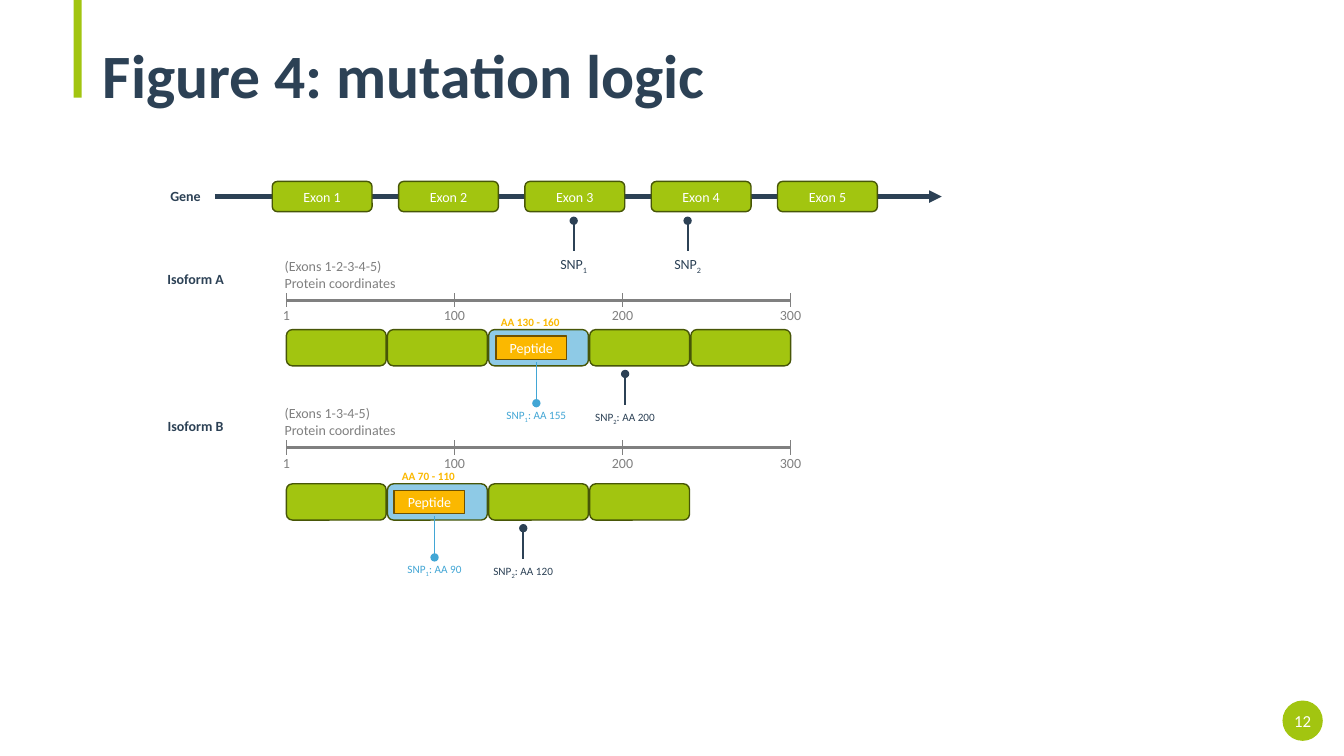
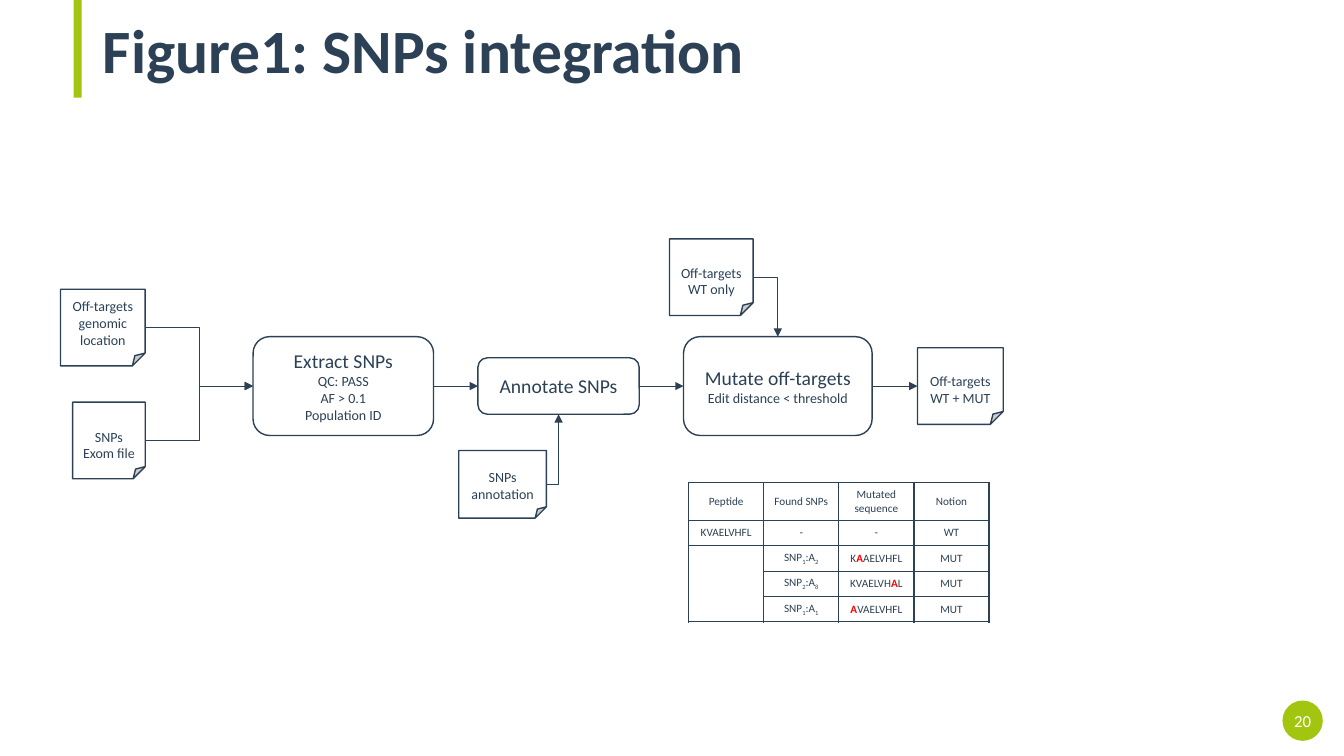
from lxml import etree
from pptx import Presentation
from pptx.dml.color import RGBColor
from pptx.enum.shapes import MSO_CONNECTOR, MSO_SHAPE
from pptx.enum.text import MSO_ANCHOR, MSO_AUTO_SIZE, PP_ALIGN
from pptx.oxml.ns import qn
from pptx.util import Inches, Pt

ROUND, FOLD = MSO_SHAPE.ROUNDED_RECTANGLE, MSO_SHAPE.FOLDED_CORNER
RECT, OVAL = MSO_SHAPE.RECTANGLE, MSO_SHAPE.OVAL
LINE, ELBOW = MSO_CONNECTOR.STRAIGHT, MSO_CONNECTOR.ELBOW
MID, TOP, LOW = MSO_ANCHOR.MIDDLE, MSO_ANCHOR.TOP, MSO_ANCHOR.BOTTOM
LEFT, MIDST = PP_ALIGN.LEFT, PP_ALIGN.CENTER
FIXED = MSO_AUTO_SIZE.NONE

# Colours and font shared by the slides
FONT = "Calibri"
NAVY, WHITE, GREY, RED = "2C4155", "FFFFFF", "808080", "FF0000"
GREEN, MOSS = "A2C510", "475607"
SKY, BLUE = "8ECAE6", "42A6D5"
GOLD, UMBER = "FBB800", "6E5100"

# Connection sites of a box
NORTH, WEST, SOUTH, EAST = range(4)

# Gene and protein scales, in grid steps
GENE_X, GENE_STEP = 27, 12.53
AXIS_X, AXIS_W, EXON_STEP, EXON_W = 28.4, 50, 10.03, 9.9


def grid(*steps):
    """Turn grid columns or rows, a tenth of an inch each, into lengths."""
    return [Inches(n / 10) for n in steps]


def color(code):
    return RGBColor.from_string(code)


def style(item, **form):
    for name, value in form.items():
        setattr(item, name, value)


# Text: lines split at newlines, runs at "|"; "_" lowers a run, "*" marks it red
def write(frame, text, size, ink=NAVY, bold=False, rest=None, align=MIDST):
    for i, line in enumerate(text.split("\n")):
        para = frame.paragraphs[0] if i == 0 else frame.add_paragraph()
        para.alignment = align
        for part in line.split("|"):
            run = para.add_run()
            low, hot = part.startswith("_"), part.startswith("*")
            run.text = part[1:] if low or hot else part
            style(run.font, name=FONT, bold=bold or hot,
                  size=Pt(rest if i and rest else size))
            run.font.color.rgb = color(RED if hot else ink)
            if low:
                run._r.get_or_add_rPr().set("baseline", "-25000")


def label(slide, text, mid, top, wide, tall=2.7, size=10, **form):
    box = slide.shapes.add_textbox(*grid(mid - wide / 2, top, wide, tall))
    box.text_frame.word_wrap = True
    write(box.text_frame, text, size, **form)


def block(slide, kind, place, fill, edge=None, text="", size=10, ink=WHITE,
          rest=None, anchor=MID, inset=1):
    shape = slide.shapes.add_shape(kind, *grid(*place))
    shape.shadow.inherit = False
    shape.fill.solid()
    shape.fill.fore_color.rgb = color(fill)
    if edge:
        shape.line.color.rgb = color(edge)
        shape.line.width = Pt(1)
    else:
        shape.line.fill.background()
    if text:
        side = grid(inset)[0]
        style(shape.text_frame, word_wrap=True, vertical_anchor=anchor,
              margin_left=side, margin_right=side)
        write(shape.text_frame, text, size, ink, rest=rest)
    return shape


def stroke(slide, ends, ink=NAVY, width=0.5, head=None, tail=None, kind=LINE):
    line = slide.shapes.add_connector(kind, *grid(*ends))
    line.line.color.rgb = color(ink)
    line.line.width = Pt(width)
    pen = line.line._get_or_add_ln()
    for tag, tip in (("a:headEnd", head), ("a:tailEnd", tail)):
        if tip:
            etree.SubElement(pen, qn(tag)).set("type", tip)
    etree.SubElement(line.element.spPr, qn("a:effectLst"))
    return line


def link(slide, start, end, site=WEST, kind=LINE):
    """Join the right side of one box to a site of the next."""
    line = stroke(slide, (0, 0, 0, 0), tail="triangle", kind=kind)
    line.begin_connect(start, EAST)
    line.end_connect(end, site)
    if kind == ELBOW and site != WEST:
        line.element.spPr.find(qn("a:prstGeom")).set("prst", "bentConnector2")


# Parts that every slide has
def page(deck, title, top, number):
    slide = deck.slides.add_slide(deck.slide_layouts[5])
    block(slide, OVAL, (127.2, 69.5, 4, 4), GREEN, text=number, size=12, inset=0)
    block(slide, RECT, (7.3, 0, 0.8, 9.7), GREEN)
    head = slide.shapes.title
    names = ("left", "top", "width", "height")
    style(head, **dict(zip(names, grid(9.2, top, 115, 7.7))))
    style(head.text_frame, vertical_anchor=TOP, word_wrap=True, auto_size=FIXED)
    write(head.text_frame, title, 44, bold=True, align=LEFT)
    head.text_frame.paragraphs[0].line_spacing = 0.9
    return slide


# Mutation figure
def pin(slide, x, dot, end, text, ink=NAVY, width=1.5, size=8):
    stroke(slide, (x, dot, x, end), ink, width, head="oval")
    label(slide, text, x, max(dot, end), 8.7, size=size, ink=ink)


def gene(slide):
    stroke(slide, (21.3, 19.5, 93.4, 19.5), width=3, tail="triangle")
    for i in range(5):
        block(slide, ROUND, (GENE_X + i * GENE_STEP, 18, EXON_W, 3),
              GREEN, MOSS, f"Exon {i + 1}")
    label(slide, "Gene", 18.4, 18.1, 8.6, bold=True)
    for n, x in enumerate((56.9, 68.2), 1):
        pin(slide, x, 21.9, 24.9, f"SNP|_{n}", size=10)


def axis(slide, y):
    stroke(slide, (AXIS_X, y, AXIS_X + AXIS_W, y), GREY, 2)
    for i, mark in enumerate(("1", "100", "200", "300")):
        x = AXIS_X + i * AXIS_W / 3
        stroke(slide, (x, y - 0.7, x, y + 0.7), GREY)
        label(slide, mark, x, y + 0.15, 5.2, ink=GREY)


def isoform(slide, name, exons, y, bar, hit, pep, span, first, second, x):
    label(slide, f"Isoform {name}", 19.4, y - 3.5, 9.9, bold=True)
    label(slide, f"(Exons {'-'.join(exons)})\nProtein coordinates",
          34.4, y - 4.75, 14.3, 4.4, ink=GREY, align=LEFT)
    axis(slide, y)
    for i, exon in enumerate(exons):
        block(slide, ROUND, (AXIS_X + i * EXON_STEP, bar, EXON_W, 3.6),
              SKY if exon == hit else GREEN, MOSS)
    block(slide, RECT, (pep, bar + 0.65, 7, 2.3), GOLD, UMBER, "Peptide")
    label(slide, f"AA {span}", pep + 3.4, bar - 1.95, 9.1, 2.4, 8,
          ink=GOLD, bold=True)
    pin(slide, pep + 4, bar + 7.3, bar + 3.2, f"SNP|_1|: AA {first}", BLUE, 1)
    pin(slide, x, bar + 4.4, bar + 7.5, f"SNP|_2|: AA {second}")


# Integration figure
def note(slide, text, *place):
    return block(slide, FOLD, place, WHITE, NAVY, text, ink=NAVY,
                 anchor=LOW, inset=0.9)


def step(slide, text, *place):
    return block(slide, ROUND, place, WHITE, NAVY, text, 14, NAVY, rest=10)


def flow(slide):
    wild = note(slide, "Off-targets\nWT only", 66.4, 23.7, 8.3, 7.6)
    sites = note(slide, "Off-targets genomic location", 6, 28.7, 8.4, 7.6)
    exome = note(slide, "SNPs Exom file", 7.2, 39.9, 7.2, 7.6)
    facts = note(slide, "SNPs annotation", 45.5, 44.7, 8.7, 6.7)
    result = note(slide, "Off-targets\nWT + MUT", 91, 34.5, 8.5, 7.6)
    extract = step(slide, "Extract SNPs\nQC: PASS\nAF > 0.1\nPopulation ID",
                   25.1, 33.4, 17.9, 9.8)
    annotate = step(slide, "Annotate SNPs", 47.4, 35.5, 16, 5.6)
    mutate = step(slide, "Mutate off-targets\nEdit distance < threshold",
                  67.8, 33.4, 18.7, 9.8)
    for pair in ((extract, annotate), (annotate, mutate), (mutate, result)):
        link(slide, *pair)
    for start, end, site in ((sites, extract, WEST), (exome, extract, WEST),
                             (wild, mutate, NORTH), (facts, annotate, SOUTH)):
        link(slide, start, end, site, ELBOW)


def border(cell):
    props = cell._tc.get_or_add_tcPr()
    for side in "LRTB":
        edge = etree.SubElement(props, qn(f"a:ln{side}"), w=str(Pt(1)))
        fill = etree.SubElement(edge, qn("a:solidFill"))
        etree.SubElement(fill, qn("a:srgbClr"), val=NAVY)


def matrix(slide, rows):
    place = grid(68.3, 47.9, 29.8, 13.7)
    table = slide.shapes.add_table(len(rows), len(rows[0]), *place).table
    style(table, first_row=False, horz_banding=False)
    for i, row in enumerate(table.rows):
        row.height = grid(2.5 if i else 3.7)[0]
    table.cell(2, 0).merge(table.cell(4, 0))
    for r, row in enumerate(rows):
        for c, text in enumerate(row):
            cell = table.cell(r, c)
            cell.vertical_anchor = MID
            border(cell)
            cell.fill.background()
            write(cell.text_frame, text, 8)


def main():
    deck = Presentation()
    style(deck, slide_width=Inches(13.33), slide_height=Inches(7.5))

    slide = page(deck, "Figure 4: mutation logic", 4, "12")
    gene(slide)
    isoform(slide, "A", "12345", 29.8, 32.7, "3", 49.2, "130 - 160", 155, 200, 62)
    isoform(slide, "B", "1345", 44.4, 48, "3", 39.1, "70 - 110", 90, 120, 51.9)

    slide = page(deck, "Figure1: SNPs integration", 1.5, "20")
    flow(slide)
    matrix(slide, [
        ("Peptide", "Found SNPs", "Mutated sequence", "Notion"),
        ("KVAELVHFL", "-", "-", "WT"),
        ("", "SNP|_1|:A|_2", "K|*A|AELVHFL", "MUT"),
        ("", "SNP|_2|:A|_8", "KVAELVH|*A|L", "MUT"),
        ("", "SNP|_1|:A|_1", "*A|VAELVHFL", "MUT"),
    ])
    deck.save("out.pptx")


if __name__ == "__main__":
    main()
